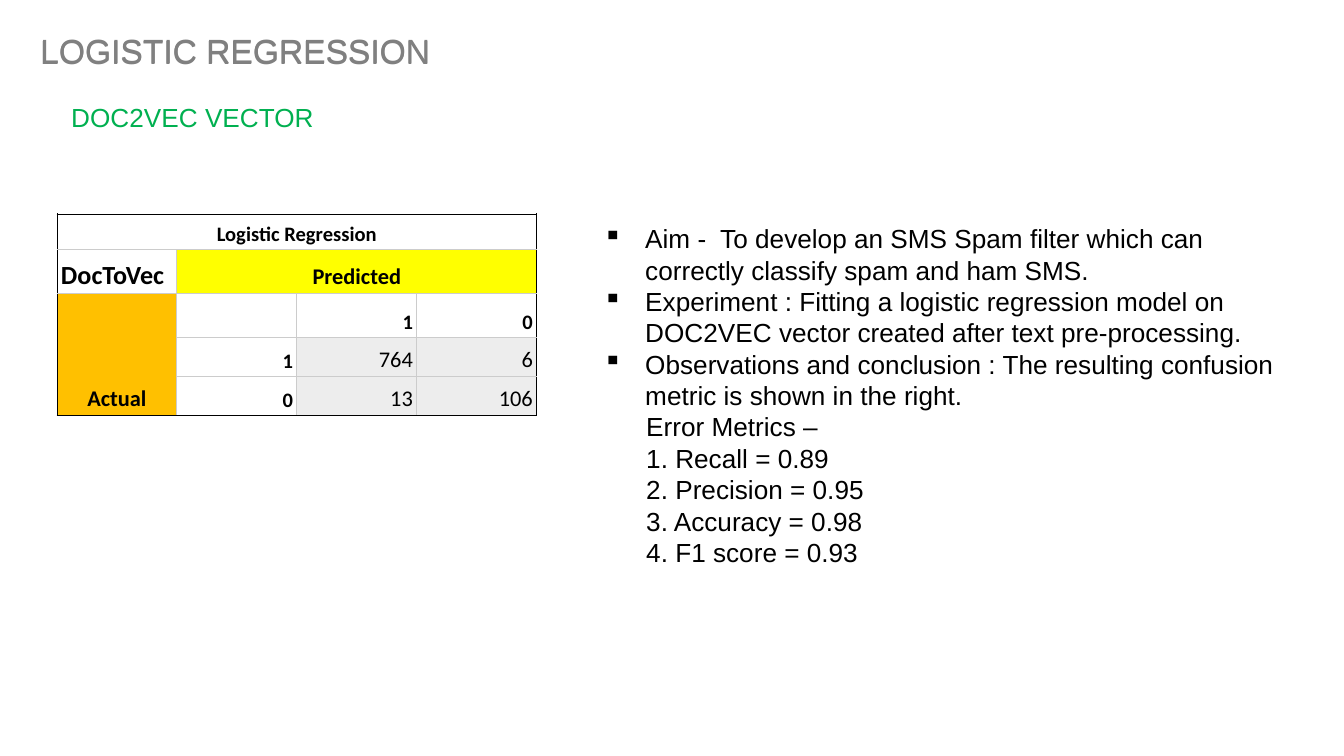
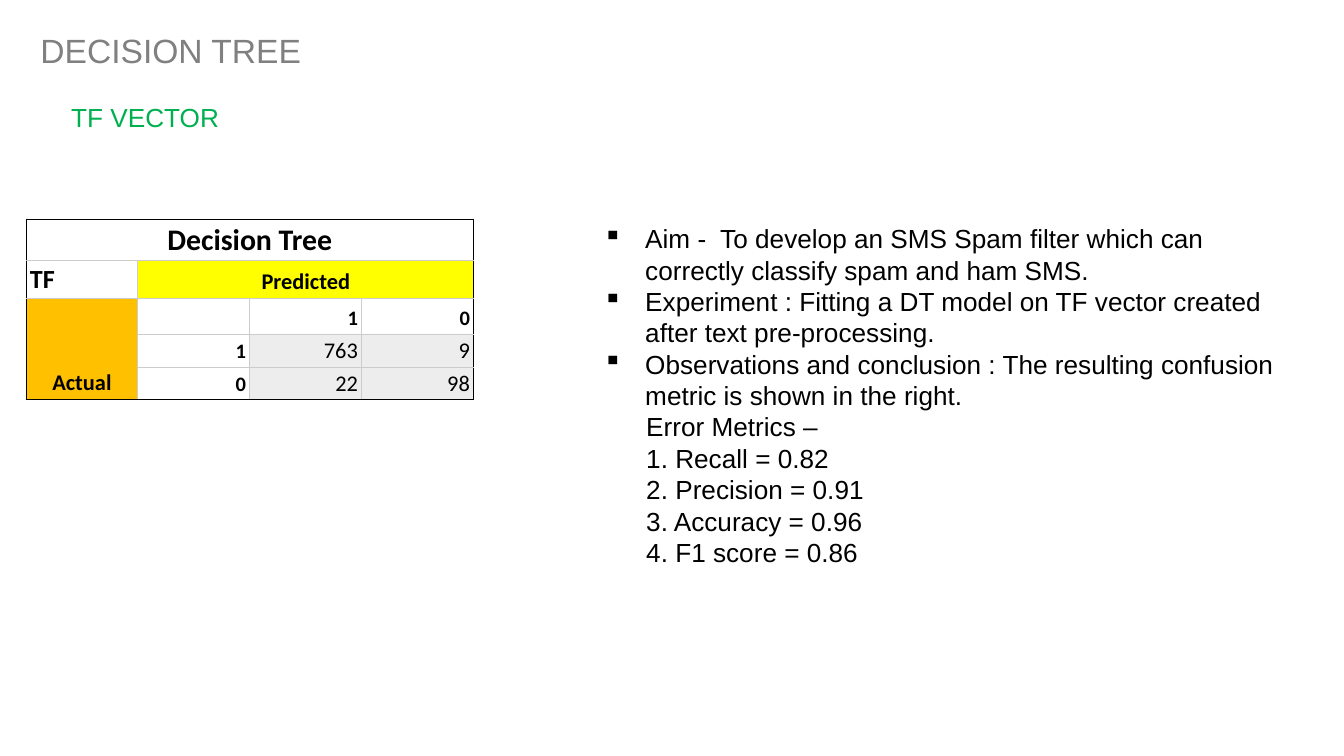
from lxml import etree
from pptx import Presentation
from pptx import util as u
from pptx.dml.color import RGBColor
from pptx.enum import text
from pptx.oxml import ns

PX = 914400 / 134.4
BLACK, GREY, GREEN = "000000", "808080", "00B050"
YELLOW, ORANGE, PALE, GRID = "FFFF00", "FFC000", "EDEDED", "CCCCCC"
LEFT, CENTER, RIGHT = text.PP_ALIGN.LEFT, text.PP_ALIGN.CENTER, text.PP_ALIGN.RIGHT
INDENT = 42

SLIDES = [
    dict(title="LOGISTIC REGRESSION", title_tops=[23, 24],
         vector="DOC2VEC VECTOR", vector_width=273,
         table_title="Logistic Regression", table_title_size=11, table_vector="DocToVec",
         counts=[["764", "6"], ["13", "106"]],
         table_at=(57, 214), column=120, rows=[36, 44, 44, 39, 39],
         experiment="a logistic regression model on DOC2VEC vector",
         scores=["0.89", "0.95", "0.98", "0.93"]),
    dict(title="DECISION TREE", title_tops=[23],
         vector="TF VECTOR", vector_width=176,
         table_title="Decision Tree", table_title_size=16, table_vector="TF",
         counts=[["763", "9"], ["22", "98"]],
         table_at=(26, 219), column=112, rows=[40, 36, 36, 31, 31],
         experiment="a DT model on TF vector",
         scores=["0.82", "0.91", "0.96", "0.86"]),
]


def px(*lengths):
    return [u.Emu(round(length * PX)) for length in lengths]


def write(paragraph, words, size=14, color=BLACK, font="Arial", bold=False,
          align=LEFT, margin=0, bullet=None):
    """Fill a paragraph with one formatted run; margin is the left indent in px."""
    paragraph.alignment = align
    if words:
        run = paragraph.add_run()
        run.text = words
        run.font.name, run.font.size, run.font.bold = font, u.Pt(size), bold
        run.font.color.rgb = RGBColor.from_string(color)
    else:
        etree.SubElement(paragraph._p, ns.qn("a:endParaRPr"), sz=str(size * 100))
    if margin:
        properties = paragraph._p.get_or_add_pPr()
        properties.set("marL", str(px(margin)[0]))
        properties.set("indent", str(px(-margin if bullet else 0)[0]))
        if bullet:
            etree.SubElement(properties, ns.qn("a:buChar"), char=bullet)


presentation = Presentation()
presentation.slide_width, presentation.slide_height = px(1344, 756)

for content in SLIDES:
    slide = presentation.slides.add_slide(presentation.slide_layouts[5])

    # Title, doubled with a slight offset where two tops are given
    for index, top in enumerate(content["title_tops"]):
        box = px(27, top, 925, 54)
        if index == 0:
            title = slide.shapes.title
            title.left, title.top, title.width, title.height = box
        else:
            title = slide.shapes.add_textbox(*box)
        frame = title.text_frame
        frame.word_wrap = True
        frame.auto_size = text.MSO_AUTO_SIZE.NONE
        frame.vertical_anchor = text.MSO_ANCHOR.TOP
        write(frame.paragraphs[0], content["title"], size=18, color=GREY)

    vector = slide.shapes.add_textbox(*px(58, 95, content["vector_width"], 46))
    vector.text_frame.word_wrap = False
    write(vector.text_frame.paragraphs[0], content["vector"], color=GREEN)

    # Confusion matrix
    rows, column = content["rows"], content["column"]
    table = slide.shapes.add_table(
        5, 4, *px(*content["table_at"], column * 4, sum(rows))).table
    table.first_row = table.horz_banding = False
    for table_column in table.columns:
        table_column.width = px(column)[0]
    for table_row, height in zip(table.rows, rows):
        table_row.height = px(height)[0]
    table.cell(0, 0).merge(table.cell(0, 3))
    table.cell(1, 1).merge(table.cell(1, 3))
    table.cell(2, 0).merge(table.cell(4, 0))

    matrix = [[content["table_title"], "", "", ""],
              [content["table_vector"], "Predicted", "", ""],
              ["Actual", "", "1", "0"],
              ["", "1", *content["counts"][0]],
              ["", "0", *content["counts"][1]]]
    sizes = {(0, 0): content["table_title_size"], (1, 0): 14, (1, 1): 12, (2, 0): 12}
    for r, words in enumerate(matrix):
        for c, word in enumerate(words):
            cell = table.cell(r, c)
            is_count = r > 2 and c > 1
            if is_count:
                fill = PALE
            elif r == 1 and c > 0:
                fill = YELLOW
            else:
                fill = ORANGE if r > 1 and c == 0 else None
            if fill:
                cell.fill.solid()
                cell.fill.fore_color.rgb = RGBColor.from_string(fill)
            else:
                cell.fill.background()
            cell.vertical_anchor = text.MSO_ANCHOR.BOTTOM
            cell.margin_left = cell.margin_right = px(4)[0]
            cell.margin_top = cell.margin_bottom = px(3)[0]
            if r > 1 and c > 0:
                align = RIGHT
            else:
                align = LEFT if (r, c) == (1, 0) else CENTER
            write(cell.text_frame.paragraphs[0], word, font="Calibri", align=align,
                  size=sizes.get((r, c), 12 if is_count else 11), bold=not is_count)

            # Black around the table, grey inside it
            last_row = r + (cell.span_height if cell.is_merge_origin else 1) == 5
            last_column = c + (cell.span_width if cell.is_merge_origin else 1) == 4
            edges = [("L", c == 0), ("R", last_column), ("T", r == 0), ("B", last_row)]
            for position, (side, outer) in enumerate(edges):
                line = etree.Element(ns.qn(f"a:ln{side}"), w=str(u.Pt(0.6)))
                solid = etree.SubElement(line, ns.qn("a:solidFill"))
                etree.SubElement(solid, ns.qn("a:srgbClr"), val=BLACK if outer else GRID)
                cell._tc.get_or_add_tcPr().insert(position, line)

    # Findings
    findings = slide.shapes.add_textbox(*px(590, 216, 715, 394)).text_frame
    findings.word_wrap = True
    points = [
        "Aim -  To develop an SMS Spam filter which can correctly classify spam and ham SMS.",
        f"Experiment : Fitting {content['experiment']} created after text pre-processing.",
        "Observations and conclusion : The resulting confusion metric is shown in the right.",
    ]
    for index, point in enumerate(points):
        paragraph = findings.add_paragraph() if index else findings.paragraphs[0]
        write(paragraph, point, margin=INDENT, bullet="▪")
    metrics = zip(["Recall", "Precision", "Accuracy", "F1 score"], content["scores"])
    lines = [f"{number}. {name} = {score}"
             for number, (name, score) in enumerate(metrics, 1)]
    for line in ["Error Metrics –", *lines]:
        write(findings.add_paragraph(), line, margin=INDENT + 1)

presentation.save("out.pptx")
